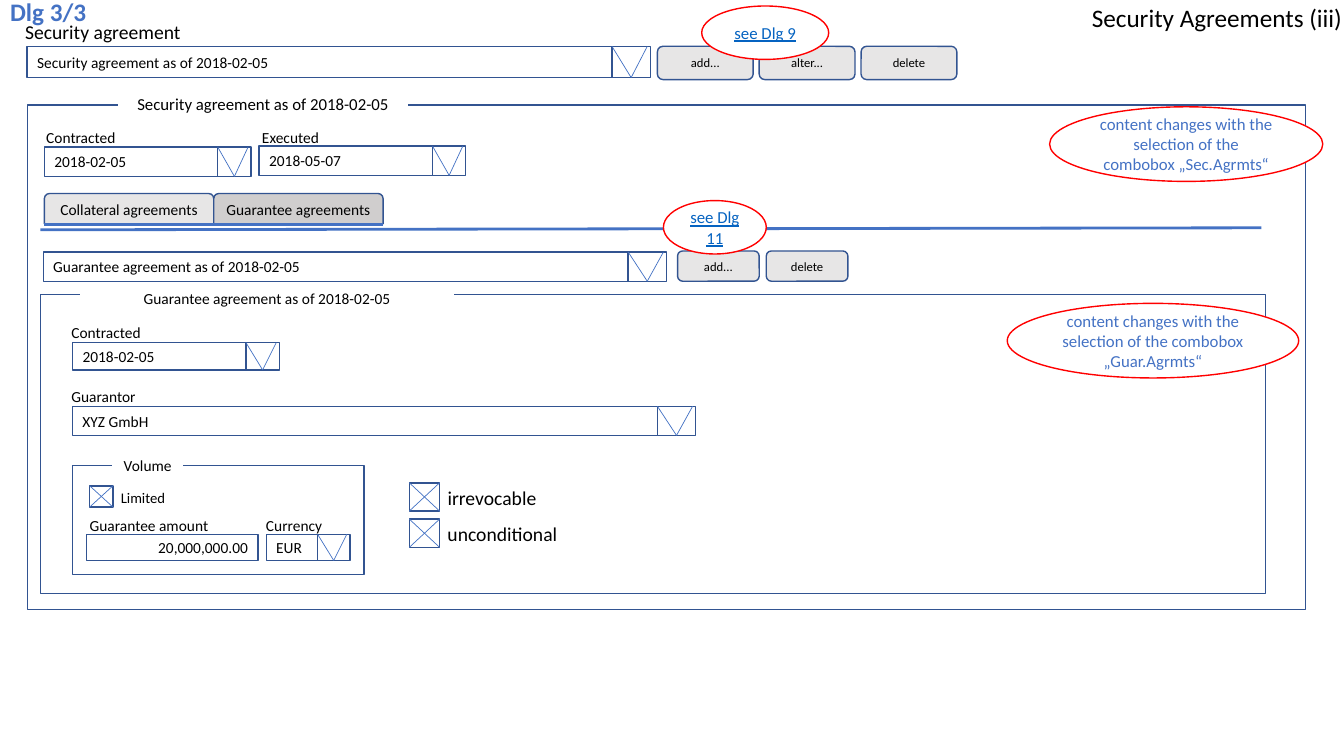
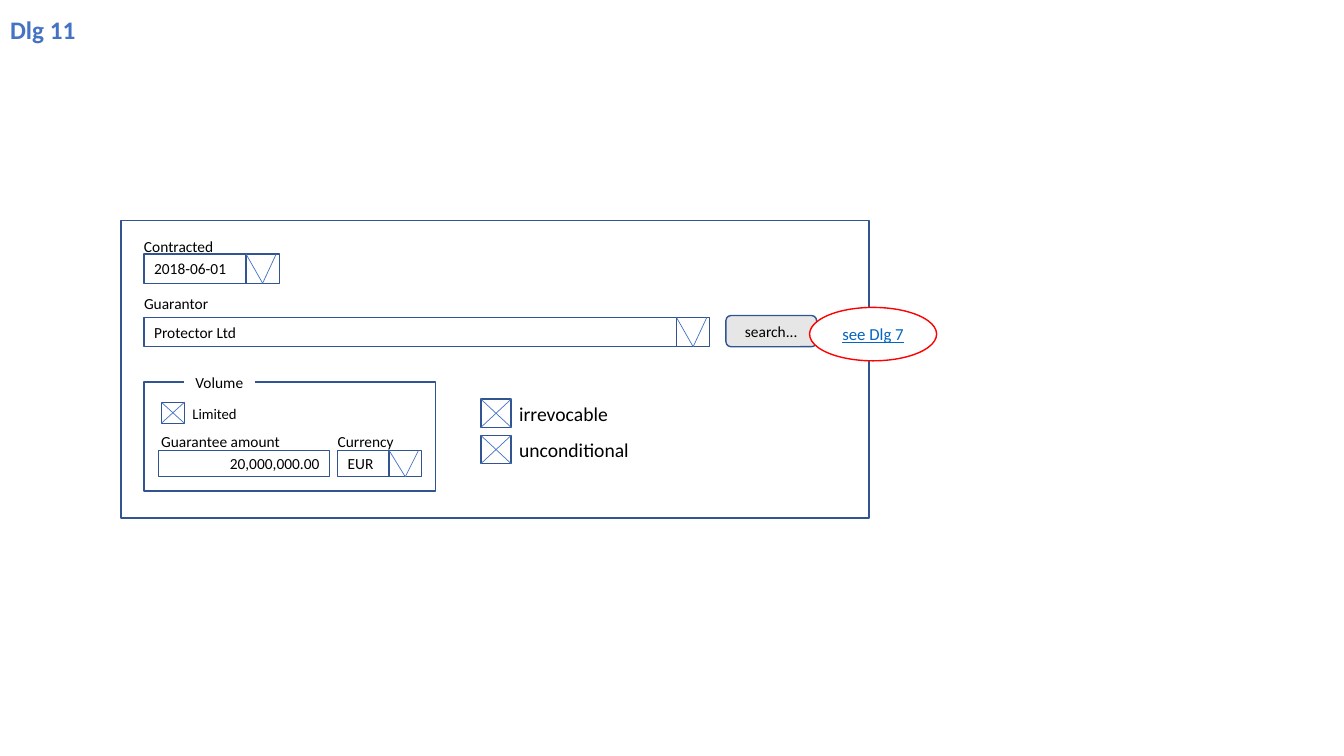
from lxml.etree import SubElement
from pptx import Presentation
from pptx.dml.color import RGBColor
from pptx.enum.shapes import MSO_CONNECTOR, MSO_SHAPE
from pptx.enum.text import MSO_ANCHOR, MSO_AUTO_SIZE, PP_ALIGN
from pptx.oxml.ns import qn
from pptx.util import Inches, Pt

FONT = "Calibri"
WHITE, BLACK = "FFFFFF", "000000"
OUTLINE, ACCENT = "325491", "4472C4"
BUTTON, ACTIVE_TAB = "E7E6E6", "D0CECE"
CALLOUT, REFERENCE = "FF0000", "0563C1"


def color(hex_value):
    """Turn a hex string into a colour."""
    return RGBColor.from_string(hex_value)


def write(frame, text, size, ink=BLACK, align=PP_ALIGN.LEFT, bold=False, underline=False):
    """Write one formatted run into a text frame."""
    paragraph = frame.paragraphs[0]
    paragraph.alignment = align
    run = paragraph.add_run()
    run.text = text
    font = run.font
    font.name, font.size, font.bold, font.underline = FONT, Pt(size), bold, underline
    font.color.rgb = color(ink)


def panel(shapes, box, kind=MSO_SHAPE.RECTANGLE, fill=WHITE, line=OUTLINE):
    """Add a filled, outlined shape in the box and return it."""
    shape = shapes.add_shape(kind, *map(Inches, box))
    shape.shadow.inherit = False
    shape.fill.solid()
    shape.fill.fore_color.rgb = color(fill)
    shape.line.color.rgb = color(line)
    shape.line.width = Pt(1)
    shape.text_frame.word_wrap = True
    shape.text_frame.vertical_anchor = MSO_ANCHOR.MIDDLE
    return shape


def stroke(shapes, start, end, width=0.5):
    """Draw a straight accent line between two points."""
    line = shapes.add_connector(MSO_CONNECTOR.STRAIGHT, *map(Inches, (*start, *end)))
    line.line.color.rgb = color(ACCENT)
    line.line.width = Pt(width)
    SubElement(line._element.spPr, qn("a:effectLst"))


def label(shapes, box, text, size=11):
    """Add a one-line label in the box."""
    frame = shapes.add_textbox(*map(Inches, box)).text_frame
    frame.word_wrap = False
    write(frame, text, size)


def field(shapes, box, text, align=PP_ALIGN.LEFT):
    """Add an entry field with its value."""
    write(panel(shapes, box).text_frame, text, 11, align=align)


def combobox(shapes, box, text, arrow_width=0.33):
    """Add a field in the box, with a drop-down arrow to its right."""
    parts = shapes.add_group_shape().shapes
    left, top, width, height = box
    field(parts, box, text)
    arrow_left = left + width
    panel(parts, (arrow_left, top, arrow_width, height))
    tip = (arrow_left + arrow_width / 2, top + height)
    for corner in (arrow_left, arrow_left + arrow_width - 0.03):
        stroke(parts, (corner, top), tip)


def checkbox(shapes, box, text, size, label_width):
    """Add a ticked box with a label to its right."""
    parts = shapes.add_group_shape().shapes
    left, top, width, height = box
    right, bottom = left + width, top + height
    panel(parts, box)
    stroke(parts, (left, top), (right, bottom))
    stroke(parts, (right, top), (left, bottom))
    label(parts, (right - 0.02, top - 0.02, label_width, height + 0.05), text, size)


def group_frame(shapes, box, legend_box, legend, size=11):
    """Add a frame whose top edge is interrupted by its legend."""
    panel(shapes, box)
    caption = panel(shapes, legend_box, line=WHITE).text_frame
    caption.margin_top = caption.margin_bottom = 0
    write(caption, legend, size, align=PP_ALIGN.CENTER)


def button(shapes, box, text, size=9, kind=MSO_SHAPE.ROUNDED_RECTANGLE, fill=BUTTON):
    """Add a button or a tab."""
    write(panel(shapes, box, kind, fill).text_frame, text, size, align=PP_ALIGN.CENTER)


def callout(shapes, box, text, reference=False):
    """Add a red ellipse holding a remark or a reference to a dialog."""
    ellipse = panel(shapes, box, MSO_SHAPE.OVAL, line=CALLOUT)
    write(ellipse.text_frame, text, 12, REFERENCE if reference else ACCENT,
          PP_ALIGN.CENTER, underline=reference)


def volume(shapes, left, top):
    """Add the volume frame, with amount and currency, at a corner."""
    parts = shapes.add_group_shape().shapes
    group_frame(parts, (left, top, 2.89, 1.08), (left + 0.4, top - 0.04, 0.69, 0.08), "Volume")
    checkbox(parts, (left + 0.17, top + 0.2, 0.23, 0.21), "Limited", 10.5, 0.65)
    field(parts, (left + 0.14, top + 0.68, 1.7, 0.26), "20,000,000.00", PP_ALIGN.RIGHT)
    combobox(parts, (left + 1.92, top + 0.68, 0.51, 0.26), "EUR", 0.32)
    label(parts, (left + 0.07, top + 0.45, 1.38, 0.26), "Guarantee amount")
    label(parts, (left + 1.82, top + 0.45, 0.77, 0.26), "Currency")


def guarantee_terms(shapes, left, top):
    """Add the volume frame and the two conditions beside it."""
    volume(shapes, left, top)
    for row, (text, width) in enumerate((("irrevocable", 1.09), ("unconditional", 1.3))):
        box = (left + 3.34, top + 0.17 + row * 0.36, 0.3, 0.28)
        checkbox(shapes, box, text, 14, width)


def agreement_tabs(shapes, left, top):
    """Add the two agreement tabs on their base line."""
    parts = shapes.add_group_shape().shapes
    width, height = 1.68, 0.3
    tabs = (("Collateral agreements", BUTTON), ("Guarantee agreements", ACTIVE_TAB))
    for index, (text, fill) in enumerate(tabs):
        button(parts, (left + index * width, top, width, height), text, 11,
               MSO_SHAPE.ROUND_2_SAME_RECTANGLE, fill)
    base = top + height + 0.01
    stroke(parts, (left, base), (left + 2 * width, base), 2)
    stroke(parts, (left - 0.04, 2.28), (12.51, 2.26), 2)


def dialog_slide(deck, title, box):
    """Add a slide with its dialog number as title and return its shapes."""
    shapes = deck.slides.add_slide(deck.slide_layouts[5]).shapes
    heading = shapes.title
    heading.left, heading.top, heading.width, heading.height = map(Inches, box)
    frame = heading.text_frame
    frame.auto_size = MSO_AUTO_SIZE.NONE
    frame.word_wrap = False
    frame.vertical_anchor = MSO_ANCHOR.TOP
    write(frame, title, 18, ACCENT, bold=True)
    return shapes


def security_selection(shapes, left, top):
    """Add the choice of security agreement and its buttons."""
    combobox(shapes, (left, top, 5.8, 0.31), "Security agreement as of 2018-02-05", 0.38)
    label(shapes, (left - 0.12, top - 0.31, 1.76, 0.34), "Security agreement", 14)
    for index, text in enumerate(("add...", "alter...", "delete")):
        button(shapes, (left + 6.25 + index * 1.01, top, 0.95, 0.33), text)


def security_agreement(shapes, left, top):
    """Add the frame of the chosen security agreement, with its dates and tabs."""
    group_frame(shapes, (left, top, 12.68, 5.01), (left + 0.91, top - 0.27, 2.86, 0.51),
                "Security agreement as of 2018-02-05", 12)
    combobox(shapes, (left + 0.17, top + 0.42, 1.72, 0.29), "2018-02-05")
    combobox(shapes, (left + 2.3, top + 0.41, 1.72, 0.29), "2018-05-07")
    label(shapes, (left + 0.09, top + 0.18, 0.9, 0.29), "Contracted")
    label(shapes, (left + 2.23, top + 0.18, 0.78, 0.29), "Executed")
    agreement_tabs(shapes, left + 0.17, top + 0.88)


def guarantee_agreement(shapes, left, top):
    """Add the choice of guarantee agreement and the frame of its details."""
    combobox(shapes, (left + 0.03, top - 0.42, 5.8, 0.29),
             "Guarantee agreement as of 2018-02-05", 0.38)
    for index, text in enumerate(("add...", "delete")):
        button(shapes, (left + 6.32 + index * 0.88, top - 0.43, 0.81, 0.3), text)
    group_frame(shapes, (left, top, 12.15, 2.97), (left + 0.4, top - 0.11, 3.7, 0.3),
                "Guarantee agreement as of 2018-02-05")
    combobox(shapes, (left + 0.32, top + 0.48, 1.72, 0.27), "2018-02-05")
    label(shapes, (left + 0.21, top + 0.24, 0.9, 0.26), "Contracted")
    combobox(shapes, (left + 0.32, top + 1.11, 5.8, 0.29), "XYZ GmbH", 0.38)
    label(shapes, (left + 0.21, top + 0.87, 0.85, 0.26), "Guarantor")
    guarantee_terms(shapes, left + 0.32, top + 1.7)


def security_agreements_slide(deck):
    """Build the dialog for security agreements with guarantees."""
    shapes = dialog_slide(deck, "Dlg 3/3", (0, -0.09, 0.96, 0.4))
    security_agreement(shapes, 0.27, 1.04)
    security_selection(shapes, 0.27, 0.46)
    guarantee_agreement(shapes, 0.4, 2.92)
    label(shapes, (10.73, -0.03, 2.71, 0.4), "Security Agreements (iii)", 18)
    remark = "content changes with the selection of the combobox "
    callout(shapes, (6.58, 1.99, 1.02, 0.53), "see Dlg 11", reference=True)
    callout(shapes, (10.41, 1.06, 2.71, 0.74), remark + "„Sec.Agrmts“")
    callout(shapes, (9.99, 3.01, 2.89, 0.74), remark + "„Guar.Agrmts“")
    callout(shapes, (6.96, 0.06, 1.26, 0.53), "see Dlg 9", reference=True)


def guarantee_entry(shapes, left, top):
    """Add the form for entering one guarantee."""
    panel(shapes, (left, top, 7.42, 2.95))
    combobox(shapes, (left + 0.23, top + 0.33, 1.01, 0.29), "2018-06-01")
    label(shapes, (left + 0.13, top + 0.11, 0.9, 0.29), "Contracted")
    combobox(shapes, (left + 0.23, top + 0.96, 5.28, 0.29), "Protector Ltd")
    label(shapes, (left + 0.13, top + 0.68, 0.85, 0.29), "Guarantor")
    button(shapes, (left + 6, top + 0.94, 0.9, 0.31), "search...", 11)
    callout(shapes, (left + 6.83, top + 0.86, 1.26, 0.53), "see Dlg 7", reference=True)
    guarantee_terms(shapes, left + 0.23, top + 1.6)


def guarantee_slide(deck):
    """Build the dialog for a new guarantee."""
    shapes = dialog_slide(deck, "Dlg 11", (0, 0.09, 0.86, 0.4))
    guarantee_entry(shapes, 1.2, 2.19)


deck = Presentation()
deck.slide_width, deck.slide_height = Inches(13.33), Inches(7.5)
security_agreements_slide(deck)
guarantee_slide(deck)
deck.save("out.pptx")
